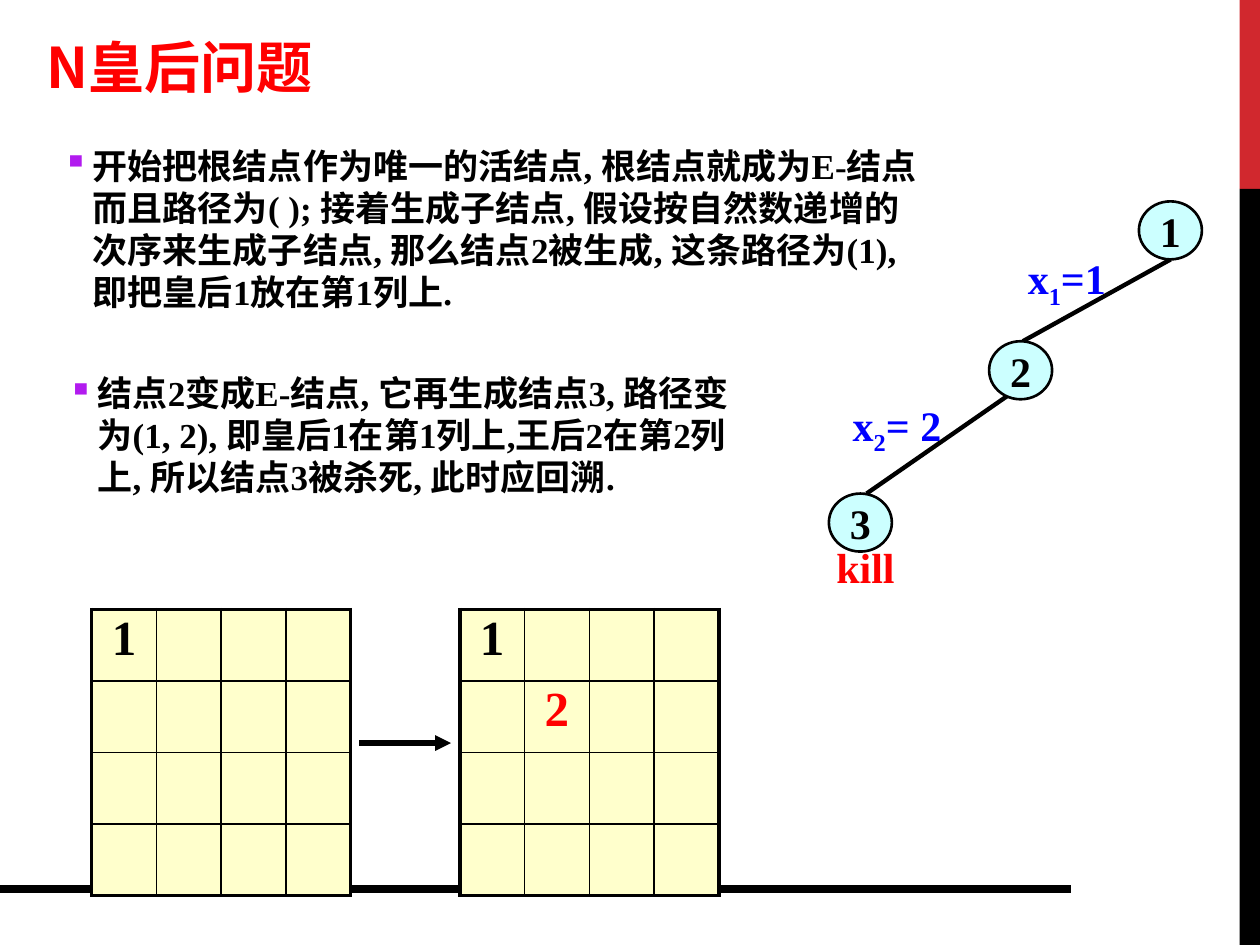
import pptx
import pptx.dml.color
import pptx.enum.dml
import pptx.enum.shapes
import pptx.enum.text
import pptx.oxml
import pptx.oxml.ns
import pptx.util
from lxml import etree

Cm, Pt = pptx.util.Cm, pptx.util.Pt
RGBColor = pptx.dml.color.RGBColor
SHAPES = pptx.enum.shapes.MSO_SHAPE
ALIGN = pptx.enum.text.PP_ALIGN
ANCHOR = pptx.enum.text.MSO_ANCHOR
AUTO_SIZE = pptx.enum.text.MSO_AUTO_SIZE
qn = pptx.oxml.ns.qn

BLACK = RGBColor(0x00, 0x00, 0x00)
RED = RGBColor(0xFF, 0x00, 0x00)
BLUE = RGBColor(0x00, 0x00, 0xFF)
CRIMSON = RGBColor(0xD1, 0x28, 0x2E)
PALE_CYAN = RGBColor(0xCC, 0xFF, 0xFF)
PALE_YELLOW = RGBColor(0xFF, 0xFF, 0xCC)
PURPLE = RGBColor(0xB2, 0x1B, 0xEF)

TITLE = {"name": "Noto Sans CJK SC", "size": Pt(32), "bold": True}
BODY = {"name": "Times New Roman", "size": Pt(20), "bold": True}
LABEL = {"name": "Times New Roman", "size": Pt(24), "bold": True}
QUEEN = {"name": "Times New Roman", "size": Pt(28), "bold": True}


def add_run(paragraph, text, formats, color, east_asian=None, baseline=None):
    """Append a formatted run to a paragraph."""
    run = paragraph.add_run()
    run.text = text
    for attribute, value in formats.items():
        setattr(run.font, attribute, value)
    run.font.color.rgb = color
    properties = run._r.get_or_add_rPr()
    if east_asian:
        latin = properties.find(qn("a:latin"))
        latin.addnext(etree.Element(qn("a:ea"), typeface=east_asian))
    if baseline:
        properties.set("baseline", str(baseline))


def add_line(slide, start, end, width, arrow=False):
    """Draw a straight black line between two points in centimetres."""
    line = slide.shapes.add_connector(
        pptx.enum.shapes.MSO_CONNECTOR.STRAIGHT, *map(Cm, start + end))
    line.line.color.rgb = BLACK
    line.line.width = Pt(width)
    if arrow:
        etree.SubElement(line.line._get_or_add_ln(), qn("a:tailEnd"), type="triangle")
    etree.SubElement(line._element.spPr, qn("a:effectLst"))


def add_text_box(slide, left, top, width, height):
    """Add a wrapping text box and return its first paragraph."""
    frame = slide.shapes.add_textbox(*map(Cm, (left, top, width, height))).text_frame
    frame.word_wrap = True
    return frame.paragraphs[0]


def add_frame(slide, width, height):
    """Draw the side band and the base line within the page."""
    band, split = 0.41, 3.81
    for top, tall, color in ((0, split, CRIMSON), (split, height - split, BLACK)):
        block = slide.shapes.add_shape(
            SHAPES.RECTANGLE, *map(Cm, (width - band, top, band, tall)))
        block.shadow.inherit = False
        block.fill.solid()
        block.fill.fore_color.rgb = color
        block.line.fill.background()
    add_line(slide, (0, height - 1.12), (21.59, height - 1.12), 4.5)


def set_title(slide, left, top, width, height):
    """Place and format the title placeholder."""
    title = slide.shapes.title
    title.left, title.top, title.width, title.height = map(Cm, (left, top, width, height))
    frame = title.text_frame
    for attribute, value in {"word_wrap": True, "auto_size": AUTO_SIZE.NONE,
                             "vertical_anchor": ANCHOR.TOP}.items():
        setattr(frame, attribute, value)
    frame.paragraphs[0].alignment = ALIGN.LEFT
    add_run(frame.paragraphs[0], "N皇后问题", TITLE, RED, TITLE["name"])


def add_bullet(slide, left, top, width, height, text):
    """Add one bulleted explanation."""
    paragraph = add_text_box(slide, left, top, width, height)
    paragraph.line_spacing = Pt(24)
    properties = paragraph._p.get_or_add_pPr()
    properties.set("marL", str(Cm(0.6)))
    properties.set("indent", str(-Cm(0.6)))
    bullet_color = etree.SubElement(properties, qn("a:buClr"))
    etree.SubElement(bullet_color, qn("a:srgbClr"), val=str(PURPLE))
    etree.SubElement(properties, qn("a:buChar"), char="▪")
    add_run(paragraph, text, BODY, BLACK, "DejaVu Sans")


def add_node(slide, left, top, number):
    """Add one numbered tree node."""
    node = slide.shapes.add_shape(SHAPES.OVAL, *map(Cm, (left, top, 1.27, 1.17)))
    node.shadow.inherit = False
    node.fill.solid()
    node.fill.fore_color.rgb = PALE_CYAN
    node.line.color.rgb = BLACK
    node.line.width = Pt(1.5)
    node.text_frame.word_wrap = False
    node.text_frame.vertical_anchor = ANCHOR.MIDDLE
    paragraph = node.text_frame.paragraphs[0]
    paragraph.alignment = ALIGN.CENTER
    add_run(paragraph, number, LABEL, BLACK)


def add_tree(slide, left, top):
    """Draw the search tree with its branch labels."""
    for x1, y1, x2, y2 in ((6.99, 1.17, 4.01, 2.82), (3.86, 3.81, 0.86, 5.89)):
        add_line(slide, (left + x1, top + y1), (left + x2, top + y2), 2.5)
    for number, x, y in (("1", 6.35, 0), ("2", 3.33, 2.82), ("3", 0.1, 5.89)):
        add_node(slide, left + x, top + y, number)
    for index, value, x, y in (("1", "=1", 3.86, 0.91), ("2", "= 2", 0.33, 3.86)):
        branch = add_text_box(slide, left + x, top + y, 2.39, 1.27)
        add_run(branch, "x", LABEL, BLUE)
        add_run(branch, index, LABEL, BLUE, baseline=-25000)
        add_run(branch, value, LABEL, BLUE)
    verdict = add_text_box(slide, left, top + 6.93, 1.85, 1.07)
    verdict.line_spacing = 0.8
    add_run(verdict, "kill", LABEL, RED)


def set_borders(cell, widths):
    """Give a cell black borders, with widths in points by side."""
    properties = cell._tc.get_or_add_tcPr()
    for position, side in enumerate("LRTB"):
        border = etree.Element(qn("a:ln" + side), w=str(Pt(widths[side])))
        fill = etree.SubElement(border, qn("a:solidFill"))
        etree.SubElement(fill, qn("a:srgbClr"), val=str(BLACK))
        properties.insert(position, border)


def add_board(slide, left, top, width, height, queens, size=4):
    """Draw a chessboard with queens given by row and column."""
    board = slide.shapes.add_table(
        size, size, *map(Cm, (left, top, width, height))).table
    board.first_row = board.horz_banding = False
    for row in range(size):
        for column in range(size):
            cell = board.cell(row, column)
            cell.fill.solid()
            cell.fill.fore_color.rgb = PALE_YELLOW
            outer = {"L": column == 0, "R": column == size - 1,
                     "T": row == 0, "B": row == size - 1}
            set_borders(cell, {side: 2.25 if edge else 1 for side, edge in outer.items()})
            if (row, column) in queens:
                number, color = queens[row, column]
                paragraph = cell.text_frame.paragraphs[0]
                paragraph.alignment = ALIGN.CENTER
                paragraph.line_spacing = 0.9
                add_run(paragraph, number, QUEEN, color)


def add_boards(slide, left, top):
    """Draw the two boards and the arrow between them."""
    width, height, step = 5.22, 5.76, 7.42
    first = {(0, 0): ("1", BLACK)}
    second = {**first, (1, 1): ("2", RED)}
    add_line(slide, (left + 5.39, top + 2.69), (left + 7.24, top + 2.69), 3, arrow=True)
    for index, queens in enumerate((first, second)):
        add_board(slide, left + index * step, top, width, height, queens)


def main():
    """Build and save the slide."""
    deck = pptx.Presentation()
    deck.slide_width, deck.slide_height = Cm(25.4), Cm(19.05)
    slide = deck.slides.add_slide(deck.slide_layouts[5])
    add_frame(slide, 25.4, 19.05)
    set_title(slide, 0.69, 0.53, 14.6, 1.78)
    add_bullet(slide, 1.02, 2.79, 18.03, 3.63,
               "开始把根结点作为唯一的活结点, 根结点就成为E-结点而且路径为( ); "
               "接着生成子结点, 假设按自然数递增的次序来生成子结点, 那么结点2被生成, "
               "这条路径为(1), 即把皇后1放在第1列上.")
    add_bullet(slide, 1.12, 7.37, 14.45, 3.63,
               "结点2变成E-结点, 它再生成结点3, 路径变为(1, 2), 即皇后1在第1列上,"
               "王后2在第2列上, 所以结点3被杀死, 此时应回溯.")
    add_tree(slide, 16.61, 4.06)
    add_boards(slide, 1.85, 12.29)
    deck.save("out.pptx")


if __name__ == "__main__":
    main()
